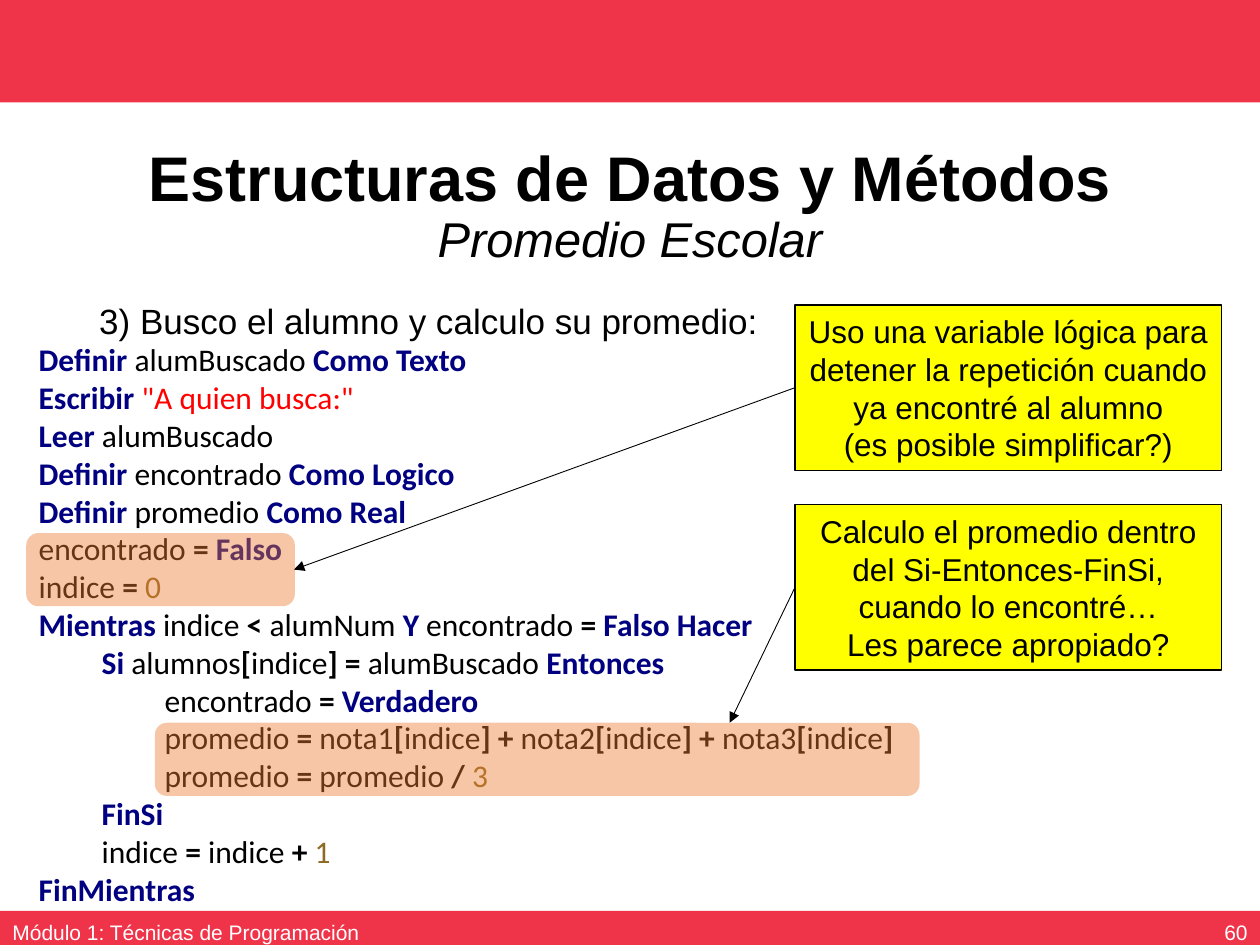
import pptx
import pptx.util
import pptx.dml.color
import pptx.enum.text
import pptx.enum.shapes
import pptx.oxml
import pptx.oxml.ns

Pt = pptx.util.Pt
RGB = pptx.dml.color.RGBColor
ALIGN = pptx.enum.text.PP_ALIGN
FIT = pptx.enum.text.MSO_AUTO_SIZE
MIDDLE = pptx.enum.text.MSO_ANCHOR.MIDDLE
SHAPE = pptx.enum.shapes.MSO_SHAPE
LINE = pptx.enum.shapes.MSO_CONNECTOR

RED = RGB(0xEF, 0x34, 0x49)
WHITE = RGB(0xFF, 0xFF, 0xFF)
BLACK = RGB(0, 0, 0)
NAVY = RGB(0, 0, 0x80)
SCARLET = RGB(0xFF, 0, 0)
BROWN = RGB(0x8E, 0x6B, 0x23)
ORANGE = RGB(0xED, 0x7D, 0x31)
YELLOW = RGB(0xFF, 0xFF, 0)

TITLE = "Estructuras de Datos y Métodos"
TOPIC = "Promedio Escolar"
STEP = "3) Busco el alumno y calculo su promedio:"
BARS = [(0, 0, 720, 58.5), (0, 520.5, 720, 22.5)]
FOOTER = [
    ("Módulo 1: Técnicas de Programación", (0, 518, 243, 28.8), ALIGN.LEFT),
    ("60", (558, 518, 162, 28.8), ALIGN.RIGHT),
]
CODE = [
    (0, "Definir |alumBuscado |Como Texto"),
    (0, 'Escribir |"A quien busca:"'),
    (0, "Leer |alumBuscado"),
    (0, "Definir| encontrado |Como Logico"),
    (0, "Definir| promedio |Como Real"),
    (0, "encontrado |= |Falso"),
    (0, "indice |= |0"),
    (0, "Mientras |indice |< |alumNum |Y| encontrado |= |Falso Hacer"),
    (1, "Si| alumnos|[|indice|] = |alumBuscado |Entonces"),
    (2, "encontrado |= |Verdadero"),
    (2, "promedio |=| nota1|[|indice|] +| nota2|[|indice|] +| nota3|[|indice|]"),
    (2, "promedio |=| promedio |/ |3"),
    (1, "FinSi"),
    (1, "indice |= |indice |+ |1"),
    (0, "FinMientras"),
]
MARKS = [(15, 304.6, 153.5, 41.8), (88.5, 413, 437, 41.8)]
NOTES = [
    (174.3, (168, 325.5), [
        "Uso una variable lógica para detener la repetición cuando ya encontré al alumno",
        "(es posible simplificar?)"]),
    (288.4, (417, 413), [
        "Calculo el promedio dentro del Si-Entonces-FinSi, cuando lo encontré…",
        "Les parece apropiado?"]),
]
LEFT, WIDE, HIGH = 454.3, 243.7, 94.5


def apply(item, **values):
    for name, value in values.items():
        setattr(item, name, value)


def write(para, text, color, **look):
    run = para.add_run()
    run.text = text
    apply(run.font, **({"name": "Arial"} | look))
    run.font.color.rgb = color


def place(item, box):
    apply(item, **dict(zip(("left", "top", "width", "height"), map(Pt, box))))


def block(slide, kind, box, color):
    shape = slide.shapes.add_shape(kind, *map(Pt, box))
    shape.shadow.inherit = False
    shape.fill.solid()
    shape.fill.fore_color.rgb = color
    shape.line.fill.background()
    return shape


def label(slide, box):
    frame = slide.shapes.add_textbox(*map(Pt, box)).text_frame
    frame.word_wrap = True
    return frame


def style(piece):
    word = piece.strip()
    if word[0] in "[]=<+/":
        return BLACK, True
    if word[0] == '"':
        return SCARLET, False
    if word.isdigit():
        return BROWN, False
    return (NAVY, True) if word[0].isupper() else (BLACK, False)


def add(parent, tag, **values):
    child = pptx.oxml.parse_xml(f"<{tag} {pptx.oxml.ns.nsdecls('a')}/>")
    for name, value in values.items():
        child.set(name, value)
    parent.append(child)


def heads(slide):
    title, body = slide.placeholders
    place(title, (49.5, 70.5, 621, 96))
    apply(title.text_frame, vertical_anchor=MIDDLE, auto_size=FIT.NONE, word_wrap=True)
    para = title.text_frame.paragraphs[0]
    apply(para, alignment=ALIGN.CENTER, line_spacing=0.9)
    write(para, TITLE, BLACK, size=Pt(36), bold=True)
    para.add_line_break()
    write(para, TOPIC, BLACK, size=Pt(27.9), bold=False, italic=True)

    place(body, (49.5, 170, 621, 343))
    apply(body.text_frame, auto_size=FIT.NONE, word_wrap=True)
    para = body.text_frame.paragraphs[0]
    apply(para, line_spacing=0.9, space_before=Pt(0))
    props = para._p.get_or_add_pPr()
    props.set("marL", "0")
    props.set("indent", "0")
    add(props, "a:buNone")
    write(para, STEP, BLACK, size=Pt(20))


def listing(slide):
    frame = label(slide, (15, 191, 510.5, 334))
    for row, (level, text) in enumerate(CODE):
        para = frame.add_paragraph() if row else frame.paragraphs[0]
        para.level = level
        props = para._p.get_or_add_pPr()
        props.set("marL", str(Pt(36 * level)))
        props.set("indent", "0")
        for piece in text.split("|"):
            color, bold = style(piece)
            write(para, piece, color, name="Calibri", size=Pt(18), bold=bold)


def note(slide, top, tip, texts):
    shape = block(slide, SHAPE.RECTANGLE, (LEFT, top, WIDE, HIGH), YELLOW)
    shape.line.color.rgb = BLACK
    shape.line.width = Pt(0.75)
    frame = shape.text_frame
    apply(frame, word_wrap=True, auto_size=FIT.SHAPE_TO_FIT_TEXT)
    for row, text in enumerate(texts):
        para = frame.add_paragraph() if row else frame.paragraphs[0]
        para.alignment = ALIGN.CENTER
        write(para, text, BLACK, size=Pt(18))
    ends = (LEFT, top + HIGH / 2, *tip)
    arrow = slide.shapes.add_connector(LINE.STRAIGHT, *map(Pt, ends))
    arrow.line.color.rgb = BLACK
    arrow.line.width = Pt(0.5)
    props = arrow._element.spPr
    add(props.find(pptx.oxml.ns.qn("a:ln")), "a:tailEnd", type="triangle")
    add(props, "a:effectLst")


def main():
    deck = pptx.Presentation()
    apply(deck, slide_width=Pt(720), slide_height=Pt(540))
    slide = deck.slides.add_slide(deck.slide_layouts[1])
    for box in BARS:
        block(slide, SHAPE.RECTANGLE, box, RED)
    heads(slide)
    for text, box, side in FOOTER:
        frame = label(slide, box)
        frame.vertical_anchor = MIDDLE
        frame.paragraphs[0].alignment = side
        write(frame.paragraphs[0], text, WHITE, size=Pt(12))
    listing(slide)
    for box in MARKS:
        shape = block(slide, SHAPE.ROUNDED_RECTANGLE, box, ORANGE)
        fill = shape._element.spPr.find(pptx.oxml.ns.qn("a:solidFill"))
        add(fill[0], "a:alpha", val="43000")
    for top, tip, texts in NOTES:
        note(slide, top, tip, texts)
    deck.save("out.pptx")


if __name__ == "__main__":
    main()
